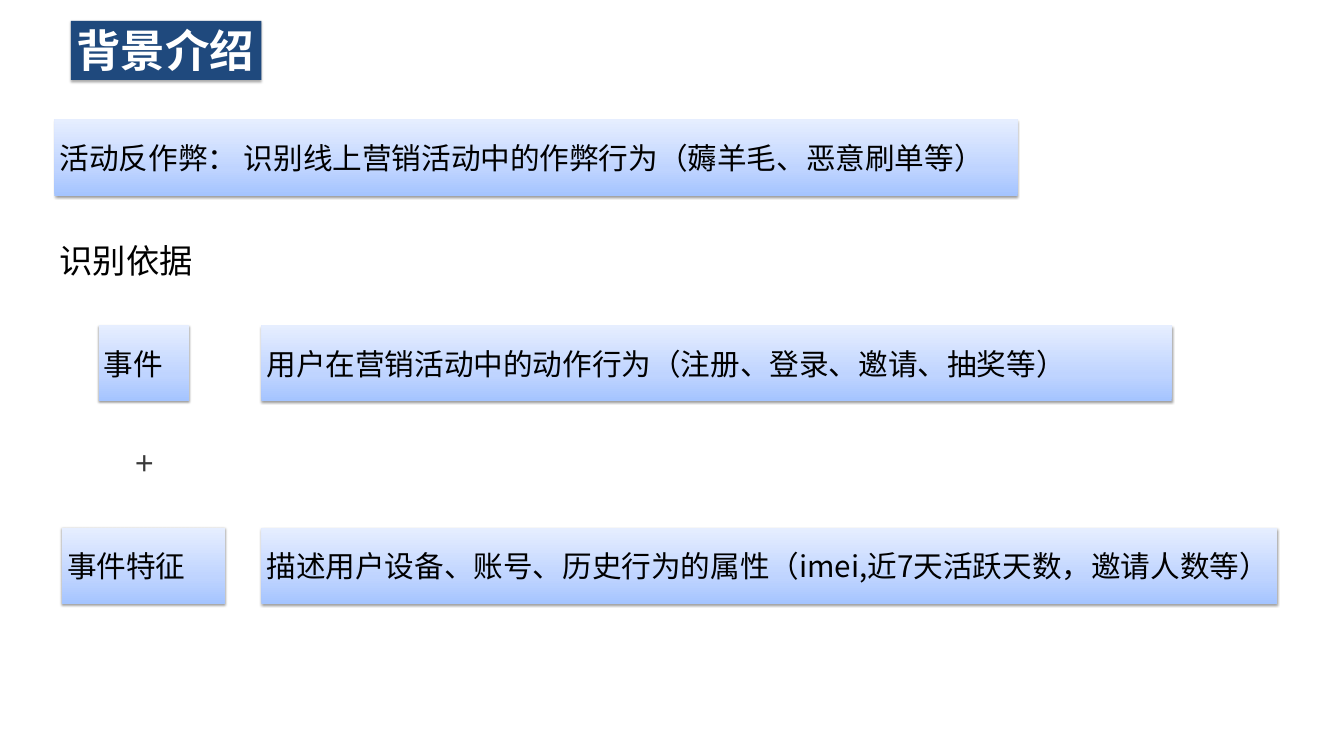
from copy import deepcopy
from dataclasses import dataclass

from lxml import etree
from pptx import Presentation
from pptx import util as u
from pptx.dml.color import RGBColor
from pptx.enum import shapes, text
from pptx.oxml import ns

EMU_PER_PX = 9144  # 100 px to the inch
CJK = "Noto Sans CJK SC"
GRADIENT = ((0, "A4C4FF"), (0.35, "BFD4FF"), (1, "E6EEFF"))
BAR_HEIGHT = 143
LABEL_HEIGHT = 86
EVENT_TOP, FEATURE_TOP = 610, 990
DETAIL_LEFT = 490


@dataclass(frozen=True)
class Shadow:
    blur: float
    dist: float
    alpha: int


@dataclass(frozen=True)
class Bar:
    left: int
    top: int
    width: int
    words: str


@dataclass(frozen=True)
class Label:
    left: int
    top: int
    width: int
    words: str
    font: str
    color: str
    wrap: bool


TITLE_SHADOW = Shadow(3.5, 2.2, 32)
BAR_SHADOW = Shadow(3.15, 1.57, 38)

BARS = (
    Bar(102, 224, 1806, "活动反作弊： 识别线上营销活动中的作弊行为（薅羊毛、恶意刷单等）"),
    Bar(185, EVENT_TOP, 169, "事件"),
    Bar(DETAIL_LEFT, EVENT_TOP, 1707, "用户在营销活动中的动作行为（注册、登录、邀请、抽奖等）"),
    Bar(116, FEATURE_TOP, 306, "事件特征"),
    Bar(DETAIL_LEFT, FEATURE_TOP, 1904,
        "描述用户设备、账号、历史行为的属性（imei,近7天活跃天数，邀请人数等）"),
)
LABELS = (
    Label(102, 445, 406, "识别依据", "Calibri", "000000", True),
    Label(243, 825, 52, "+", "Open Sans", "393939", False),
)


def px(n: int) -> u.Emu:
    return u.Emu(n * EMU_PER_PX)


def rgb(color: str) -> RGBColor:
    return RGBColor.from_string(color)


def add_rect(s, left: int, top: int, width: int, height: int, shadow: Shadow):
    """Add an unlined rectangle whose shadow falls straight down."""
    sp = s.shapes.add_shape(shapes.MSO_SHAPE.RECTANGLE,
                            px(left), px(top), px(width), px(height))
    sp.line.fill.background()
    sp.shadow.inherit = False
    effects = sp._element.spPr.find(ns.qn("a:effectLst"))
    outer = etree.SubElement(effects, ns.qn("a:outerShdw"),
                             blurRad=str(u.Pt(shadow.blur)), dist=str(u.Pt(shadow.dist)),
                             dir="5400000", rotWithShape="0")
    black = etree.SubElement(outer, ns.qn("a:srgbClr"), val="000000")
    etree.SubElement(black, ns.qn("a:alpha"), val=str(shadow.alpha * 1000))
    return sp


def fill_gradient(sp) -> None:
    sp.fill.gradient()
    sp.fill.gradient_angle = 90
    stops = sp._element.spPr.find(ns.qn("a:gradFill")).find(ns.qn("a:gsLst"))
    stops.append(deepcopy(stops[0]))
    for stop, (position, color) in zip(sp.fill.gradient_stops, GRADIENT):
        stop.position = position
        stop.color.rgb = rgb(color)


def write(sp, words: str, size: int, font: str, color: str,
          wrap: bool = True, bold: bool = False) -> None:
    tf = sp.text_frame
    tf.word_wrap = wrap
    p = tf.paragraphs[0]
    p.alignment = text.PP_ALIGN.LEFT
    r = p.add_run()
    r.text = words
    r.font.size = u.Pt(size)
    r.font.bold = bold
    r.font.name = font
    r.font.color.rgb = rgb(color)
    latin = r.font._element.find(ns.qn("a:latin"))
    latin.addnext(latin.makeelement(ns.qn("a:ea"), {"typeface": CJK}))


def add_title(s) -> None:
    sp = add_rect(s, 133, 39, 357, 111, TITLE_SHADOW)
    sp.fill.solid()
    sp.fill.fore_color.rgb = rgb("1F497D")
    write(sp, "背景介绍", 60, CJK, "FFFFFF", wrap=False, bold=True)
    sp.text_frame.vertical_anchor = text.MSO_ANCHOR.TOP
    sp.text_frame.auto_size = text.MSO_AUTO_SIZE.SHAPE_TO_FIT_TEXT


def add_bar(s, bar: Bar) -> None:
    sp = add_rect(s, bar.left, bar.top, bar.width, BAR_HEIGHT, BAR_SHADOW)
    fill_gradient(sp)
    write(sp, bar.words, 40, CJK, "000000")
    sp.text_frame.vertical_anchor = text.MSO_ANCHOR.MIDDLE


def add_label(s, label: Label) -> None:
    sp = s.shapes.add_textbox(px(label.left), px(label.top),
                              px(label.width), px(LABEL_HEIGHT))
    write(sp, label.words, 45, label.font, label.color, label.wrap)
    sp.text_frame.auto_size = text.MSO_AUTO_SIZE.SHAPE_TO_FIT_TEXT


def main() -> None:
    prs = Presentation()
    prs.slide_width, prs.slide_height = px(2520), px(1418)
    s = prs.slides.add_slide(prs.slide_layouts[6])
    add_title(s)
    for bar in BARS:
        add_bar(s, bar)
    for label in LABELS:
        add_label(s, label)
    prs.save("out.pptx")


if __name__ == "__main__":
    main()
